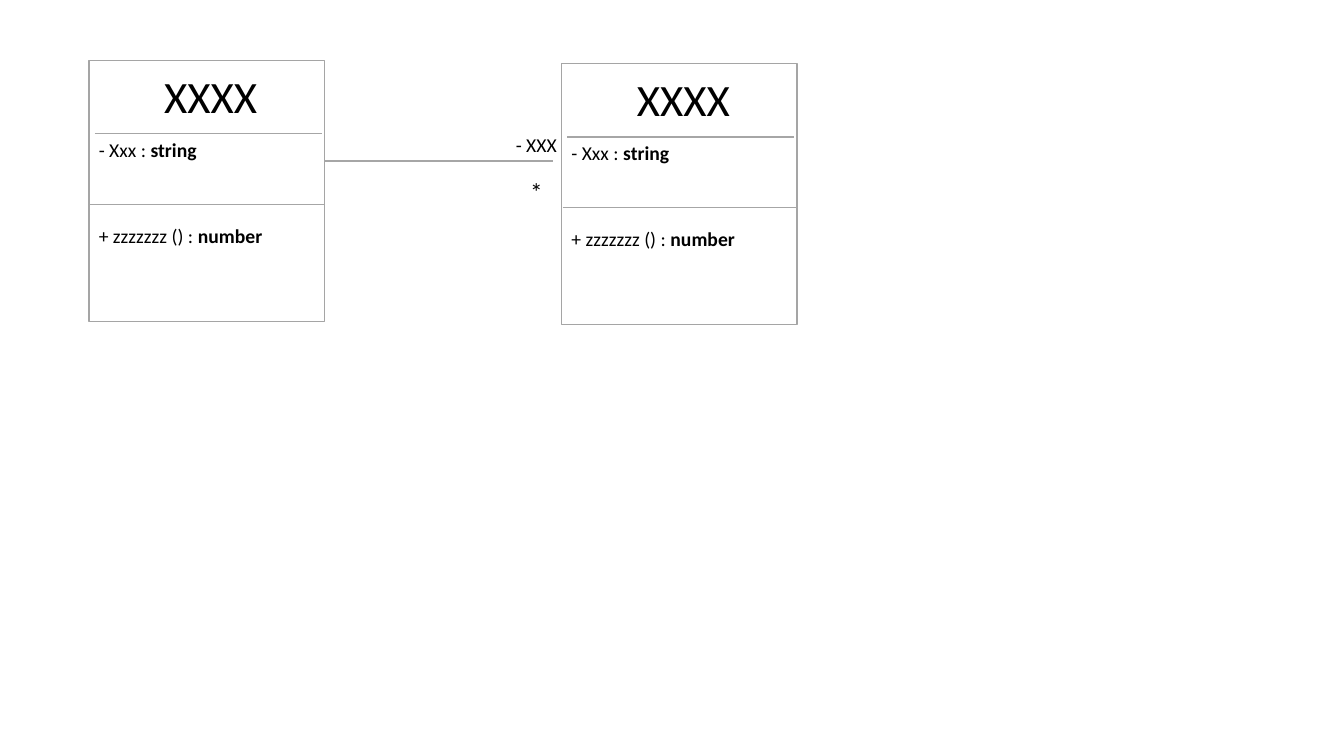
from lxml import etree
from pptx import Presentation, util as u
from pptx.dml.color import RGBColor
from pptx.enum import shapes, text
from pptx.oxml import ns

BLACK = RGBColor(0x00, 0x00, 0x00)
WHITE = RGBColor(0xFF, 0xFF, 0xFF)
BORDER = RGBColor(0xA5, 0xA5, 0xA5)
RULE = RGBColor(0xA6, 0xA6, 0xA6)
FONT = "Calibri"
BLANK_LAYOUT = 6
CLASS_WIDTH, CLASS_HEIGHT = 5.94, 6.58


def add_label(page, left, top, width, height, size, plain, bold=""):
    box = page.shapes.add_textbox(u.Cm(left), u.Cm(top), u.Cm(width), u.Cm(height))
    frame = box.text_frame
    frame.word_wrap = False
    frame.auto_size = text.MSO_AUTO_SIZE.SHAPE_TO_FIT_TEXT
    para = frame.paragraphs[0]
    for words, is_bold in ((plain, False), (bold, True)):
        if words:
            span = para.add_run()
            span.text = words
            span.font.name = FONT
            span.font.size = u.Pt(size)
            span.font.bold = is_bold
            span.font.color.rgb = BLACK


def add_rule(page, start, end, top):
    rule = page.shapes.add_connector(
        shapes.MSO_CONNECTOR.STRAIGHT, u.Cm(start), u.Cm(top), u.Cm(end), u.Cm(top)
    )
    rule.line.color.rgb = RULE
    rule.line.width = u.Pt(1)
    etree.SubElement(rule.element.spPr, ns.qn("a:effectLst"))


def add_class(page, left, top):
    box = page.shapes.add_shape(
        shapes.MSO_SHAPE.RECTANGLE,
        u.Cm(left), u.Cm(top), u.Cm(CLASS_WIDTH), u.Cm(CLASS_HEIGHT),
    )
    box.shadow.inherit = False
    box.fill.solid()
    box.fill.fore_color.rgb = WHITE
    box.line.color.rgb = BORDER
    box.line.width = u.Pt(1)
    add_label(page, left + 1.65, top + 0.08, 2.87, 1.63, 32, "XXXX")
    add_rule(page, left + 0.15, left + 5.87, top + 1.85)
    add_label(page, left, top + 1.83, 3, 0.86, 14, "- Xxx : ", "string")
    add_rule(page, left + 0.03, left + CLASS_WIDTH, top + 3.63)
    add_label(page, left, top + 3.99, 4.65, 0.86, 14, "+ zzzzzzz () : ", "number")


def add_association(page):
    add_rule(page, 8.2, 13.94, 4.06)
    add_label(page, 13.11, 4.32, 0.84, 1.02, 18, "*")
    add_label(page, 12.75, 3.23, 1.55, 0.86, 14, "- XXX")


def main():
    deck = Presentation()
    deck.slide_width, deck.slide_height = u.Cm(33.87), u.Cm(19.05)
    page = deck.slides.add_slide(deck.slide_layouts[BLANK_LAYOUT])
    add_class(page, 2.24, 1.52)
    add_association(page)
    add_class(page, 14.15, 1.6)
    deck.save("out.pptx")


if __name__ == "__main__":
    main()
